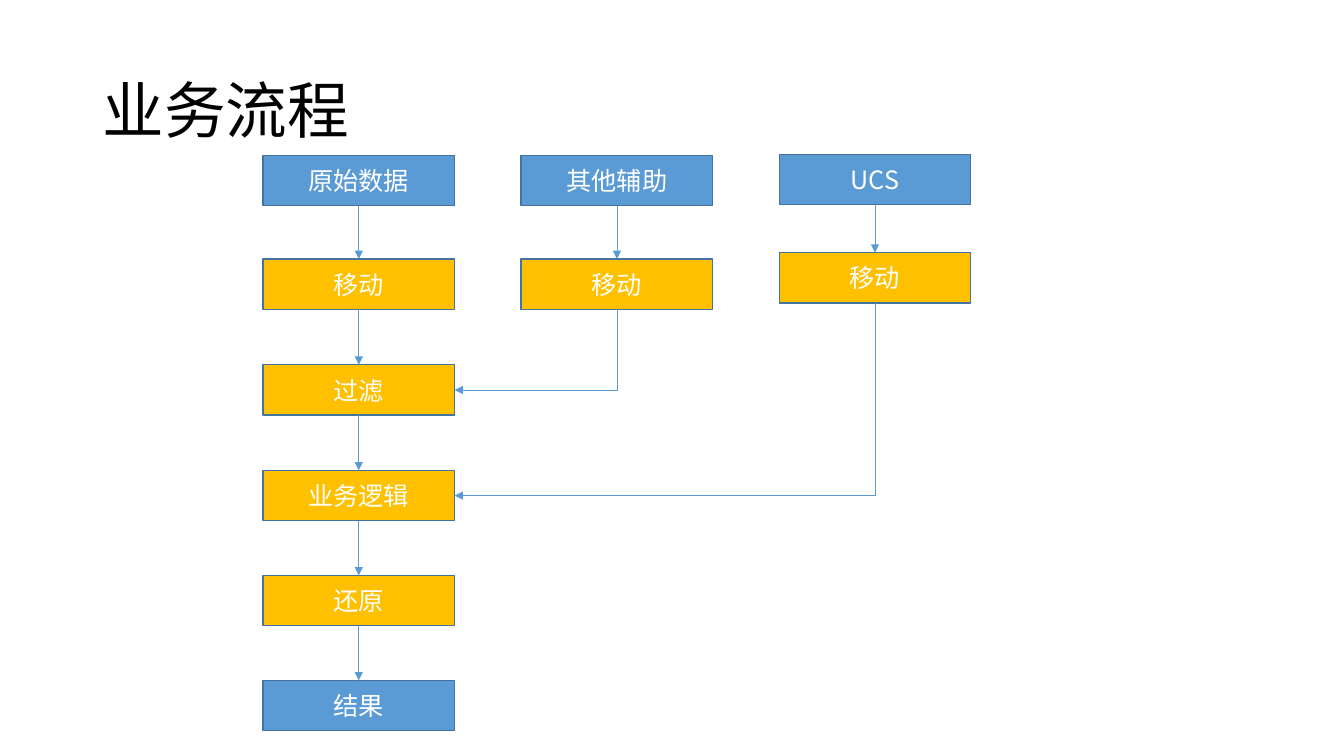
"""Build the business process flowchart slide."""
from lxml.etree import SubElement
from pptx import Presentation
from pptx.dml.color import RGBColor
from pptx.enum.shapes import MSO_CONNECTOR, MSO_SHAPE
from pptx.enum.text import MSO_ANCHOR, PP_ALIGN
from pptx.oxml.ns import qn
from pptx.util import Pt

BLUE = RGBColor(0x5B, 0x9B, 0xD5)
AMBER = RGBColor(0xFF, 0xC0, 0x00)
BORDER = RGBColor(0x43, 0x73, 0x9E)
WHITE = RGBColor(0xFF, 0xFF, 0xFF)
BLACK = RGBColor(0x00, 0x00, 0x00)
FONT = "Noto Sans CJK SC"
BOX_W, BOX_H = 136.8, 36
COL_X, COL_STEP = 187.9, 184.35


def write(sp, text, size, color, align):
    tf = sp.text_frame
    tf.word_wrap = True
    tf.vertical_anchor = MSO_ANCHOR.MIDDLE
    p = tf.paragraphs[0]
    p.alignment = align
    r = p.add_run()
    r.text = text
    r.font.size = Pt(size)
    r.font.name = FONT
    r.font.color.rgb = color
    SubElement(r.font._element, qn("a:ea")).set("typeface", FONT)
    return p


def connect(kind, start, end, site):
    c = s.shapes.add_connector(kind, 0, 0, 0, 0)
    c.begin_connect(start, 2)
    c.end_connect(end, site)
    c.line.color.rgb = BLUE
    c.line.width = Pt(0.5)
    SubElement(c.line._get_or_add_ln(), qn("a:tailEnd")).set("type", "triangle")
    SubElement(c._element.spPr, qn("a:effectLst"))
    return c


prs = Presentation()
prs.slide_width, prs.slide_height = Pt(960), Pt(540)
s = prs.slides.add_slide(prs.slide_layouts[5])

title = s.shapes.title
title.left, title.top, title.width, title.height = Pt(66), Pt(28.8), Pt(828), Pt(104.4)
write(title, "业务流程", 44, BLACK, PP_ALIGN.LEFT).line_spacing = 0.9

columns = [
    [("原始数据", 110.9, BLUE), ("移动", 185, AMBER), ("过滤", 260.6, AMBER),
     ("业务逻辑", 336, AMBER), ("还原", 411, AMBER), ("结果", 486, BLUE)],
    [("其他辅助", 110.9, BLUE), ("移动", 185, AMBER)],
    [("UCS", 110.2, BLUE), ("移动", 180.5, AMBER)],
]
flows = []
for col, steps in enumerate(columns):
    boxes = []
    for text, top, fill in steps:
        sp = s.shapes.add_shape(MSO_SHAPE.RECTANGLE, Pt(COL_X + col * COL_STEP),
                                Pt(top), Pt(BOX_W), Pt(BOX_H))
        sp.shadow.inherit = False
        sp.fill.solid()
        sp.fill.fore_color.rgb = fill
        sp.line.color.rgb = BORDER
        sp.line.width = Pt(1)
        write(sp, text, 18, WHITE, PP_ALIGN.CENTER)
        boxes.append(sp)
    for start, end in zip(boxes, boxes[1:]):
        connect(MSO_CONNECTOR.STRAIGHT, start, end, 0)
    flows.append(boxes)

main, helper, ucs = flows
for start, end in [(helper[-1], main[2]), (ucs[-1], main[3])]:
    c = connect(MSO_CONNECTOR.ELBOW, start, end, 3)
    x1, y1, x2, y2 = c.begin_x, c.begin_y, c.end_x, c.end_y
    run, drop = x1 - x2, y2 - y1
    c.left, c.top = (x1 + x2 - drop) // 2, (y1 + y2 - run) // 2
    c.width, c.height = drop, run
    xfrm = c._element.spPr.find(qn("a:xfrm"))
    xfrm.attrib.pop("flipH", None)
    xfrm.set("rot", "5400000")
    c._element.spPr.find(qn("a:prstGeom")).set("prst", "bentConnector2")

prs.save("out.pptx")
